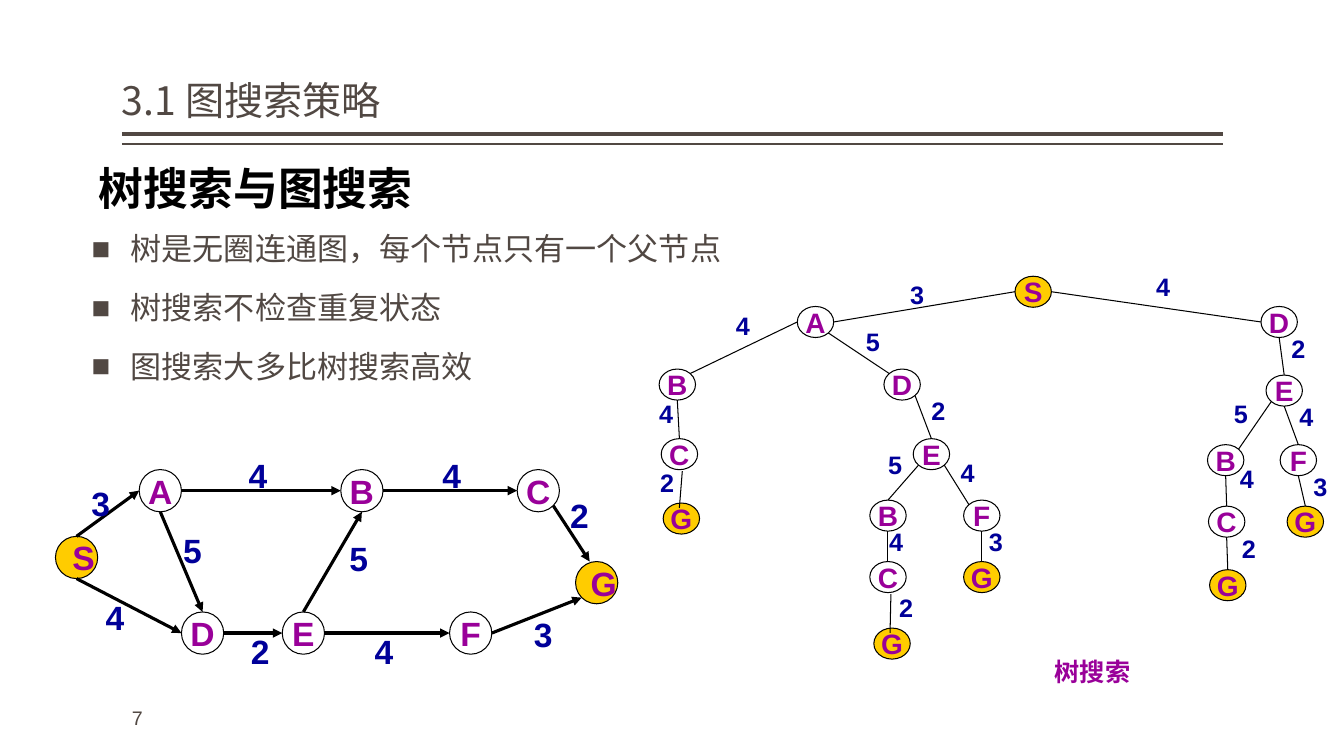
"""Build a slide that sets a weighted graph beside its search tree."""
import pptx
import pptx.dml.color
import pptx.enum.shapes
import pptx.enum.text
import pptx.oxml
import pptx.oxml.ns
import pptx.util

Pt = pptx.util.Pt
ANCHOR = pptx.enum.text.MSO_ANCHOR
ALIGN = pptx.enum.text.PP_ALIGN

COLORS = {"text": "514843", "black": "000000", "letter": "990099",
          "weight": "000099", "plain": "FFFFFF", "goal": "FFCC00"}
CJK = "Noto Sans CJK SC"
TITLE = "3.1 图搜索策略"
HEADING = "树搜索与图搜索"
POINTS = ["树是无圈连通图，每个节点只有一个父节点",
          "树搜索不检查重复状态",
          "图搜索大多比树搜索高效"]
CAPTION = "树搜索"
PAGE_NUMBER = "7"
RULES = [(95.8, 3), (103, 1)]

DIAGONAL = 0.71
SITES = {"N": (0, -1), "S": (0, 1), "W": (-1, 0), "E": (1, 0),
         "NW": (-DIAGONAL, -DIAGONAL), "NE": (DIAGONAL, -DIAGONAL),
         "SW": (-DIAGONAL, DIAGONAL), "SE": (DIAGONAL, DIAGONAL),
         "NNW": (-0.33, -1), "inside": (-0.11, -0.68), "below": (0.16, 1.1)}

GRAPH_STYLE = {"size": (30.2, 30.2), "letter": 24, "weight": 24,
               "line": 2.25, "arrow": True}
UPPER, LOWER = 350.5, 452.2
GRAPH_NODES = {"A": (114.5, UPPER), "B": (258.5, UPPER), "C": (384.5, UPPER),
               "D": (144.7, LOWER), "E": (216.7, LOWER), "F": (336.2, LOWER),
               "G": (426.2, 416.2), "S": (54.7, 398.2)}
LETTER_SHIFT = {"S": 5, "G": 5}
GRAPH_EDGES = [
    ("S", "N", "A", "W", "3", 72, 359.3),
    ("S", "S", "D", "W", "4", 82.1, 440.6),
    ("A", "E", "B", "W", "4", 184.3, 339.1),
    ("D", "E", "E", "W", "2", 185.8, 465.1),
    ("B", "E", "C", "W", "4", 322.6, 339.1),
    ("E", "E", "F", "W", "4", 274.3, 465.1),
    ("F", "E", "G", "SW", "3", 388.1, 452.9),
    ("A", "S", "D", "N", "5", 137.5, 393.1),
    ("E", "N", "B", "S", "5", 256.3, 398.9),
    ("C", "SE", "G", "NNW", "2", 414, 367.9),
]

TREE_STYLE = {"size": (26, 22.2), "letter": 20, "weight": 18,
              "line": 0.75, "arrow": False}
TREE_ROOT = ("S", (738, 208.4))
TREE_BRANCHES = [
    ("SA", (582.5, 230), "W", "E", "3", 655.2, 210.6),
    ("SD", (913.7, 230), "E", "W", "4", 830.9, 204.8),
    ("SAB", (483.8, 274.7), "W", "NE", "4", 530.6, 232.2),
    ("SAD", (644.4, 274.7), "SE", "NW", "5", 623.5, 243.7),
    ("SDE", (917.3, 279), "S", "N", "2", 927.4, 248.8),
    ("SABC", (485.3, 324.4), "S", "N", "4", 475.9, 295.6),
    ("SADE", (665.3, 324.4), "SE", "N", "2", 670.3, 293.4),
    ("SDEB", (875.5, 328.7), "SW", "NE", "5", 886.3, 295.6),
    ("SDEF", (927.4, 328.7), "S", "N", "4", 933.1, 297.7),
    ("SABCG", (486.7, 370.4), "below", "inside", "2", 476.6, 344.5),
    ("SADEB", (634.3, 368.3), "SW", "N", "5", 639.4, 331.6),
    ("SADEF", (701.3, 368.3), "SE", "NW", "4", 691.2, 337.3),
    ("SDEBC", (876.2, 372.6), "S", "N", "4", 890.6, 341.6),
    ("SDEFG", (932.4, 372.6), "S", "N", "3", 943.2, 347.4),
    ("SADEBC", (634.3, 412.2), "S", "N", "4", 640.1, 387),
    ("SADEFG", (701.3, 412.2), "S", "N", "3", 711.4, 387),
    ("SDEBCG", (877, 418), "S", "N", "2", 892.1, 392),
    ("SADEBCG", (637.2, 459.7), "below", "inside", "2", 647.3, 433.8),
]


def rgb(name):
    return pptx.dml.color.RGBColor.from_string(COLORS[name])


def add_element(parent, tag, attributes=""):
    namespace = pptx.oxml.ns.nsdecls("a")
    parent.append(pptx.oxml.parse_xml(f"<a:{tag} {namespace} {attributes}/>"))


def style(para, size, color, font="Arial", bold=False):
    para.font.size = Pt(size)
    para.font.bold = bold
    para.font.name = font
    para.font.color.rgb = rgb(color)
    defaults = para._p.pPr.find(pptx.oxml.ns.qn("a:defRPr"))
    add_element(defaults, "ea", f'typeface="{CJK}"')


def add_box(page, frame, lines, insets=(7.2, 3.6), anchor=ANCHOR.TOP):
    box = page.shapes.add_textbox(*map(Pt, frame))
    text = box.text_frame
    text.word_wrap = True
    text.vertical_anchor = anchor
    text.margin_left = text.margin_right = Pt(insets[0])
    text.margin_top = text.margin_bottom = Pt(insets[1])
    text.text = "\n".join(lines)
    return text.paragraphs


def add_mark(page, x, y, mark, size, color):
    width, height = size * 1.2, size * 1.5
    frame = (x - width / 2, y - height / 2, width, height)
    para = add_box(page, frame, [mark], (0, 0), ANCHOR.MIDDLE)[0]
    para.alignment = ALIGN.CENTER
    style(para, size, color, bold=True)


def add_line(page, start, end, width, color="black", arrow=False):
    line = page.shapes.add_connector(
        pptx.enum.shapes.MSO_CONNECTOR.STRAIGHT, *map(Pt, (*start, *end)))
    line.line.width = Pt(width)
    line.line.color.rgb = rgb(color)
    if arrow:
        add_element(line.line._get_or_add_ln(), "tailEnd", 'type="triangle"')
    add_element(line._element.spPr, "effectLst")


def add_node(page, name, center, look, shift):
    width, height = look["size"]
    x, y = center
    node = page.shapes.add_shape(
        pptx.enum.shapes.MSO_SHAPE.OVAL,
        *map(Pt, (x - width / 2, y - height / 2, width, height)))
    node.shadow.inherit = False
    node.fill.solid()
    node.fill.fore_color.rgb = rgb("goal" if name[-1] in "SG" and
                                   name not in ("SA", "SD") else "plain")
    node.line.color.rgb = rgb("black")
    node.line.width = Pt(0.75)
    if shift:
        add_mark(page, x + shift, y, name[-1], look["letter"], "letter")
        return
    text = node.text_frame
    text.word_wrap = False
    text.vertical_anchor = ANCHOR.MIDDLE
    text.text = name[-1]
    para = text.paragraphs[0]
    para.alignment = ALIGN.CENTER
    style(para, look["letter"], "letter", bold=True)


def add_network(page, nodes, edges, look, shifts):
    def site(name, side):
        return [middle + part * length / 2 for middle, part, length
                in zip(nodes[name], SITES[side], look["size"])]

    for name, center in nodes.items():
        add_node(page, name, center, look, shifts.get(name, 0))
    for start, leave, end, enter, weight, x, y in edges:
        add_line(page, site(start, leave), site(end, enter), look["line"],
                 arrow=look["arrow"])
        add_mark(page, x, y, weight, look["weight"], "weight")


def main():
    deck = pptx.Presentation()
    deck.slide_width, deck.slide_height = Pt(960), Pt(540)
    page = deck.slides.add_slide(deck.slide_layouts[6])

    for y, width in RULES:
        add_line(page, (87.1, y), (873.4, y), width, "text")
    number = add_box(page, (87.1, 500.4, 144, 28.8), [PAGE_NUMBER])[0]
    style(number, 14, "text")
    title = add_box(page, (87.1, 5.8, 786.2, 86.4), [TITLE], (0, 3.6), ANCHOR.BOTTOM)[0]
    title.line_spacing = 0.9
    style(title, 28, "text", CJK)
    heading = add_box(page, (70.6, 103.7, 648, 61.2), [HEADING], (0, 3.6), ANCHOR.MIDDLE)[0]
    style(heading, 32, "black", "Calibri", True)

    for index, para in enumerate(add_box(page, (58.3, 163.4, 473.8, 130.3), POINTS)):
        para.line_spacing = 0.9
        para.space_before = Pt(18 if index else 0)
        properties = para._p.get_or_add_pPr()
        properties.set("marL", str(Pt(28)))
        properties.set("indent", str(-Pt(28)))
        add_element(properties, "buFont", 'typeface="Arial"')
        add_element(properties, "buChar", 'char="■"')
        style(para, 22.2, "text", CJK)

    add_network(page, GRAPH_NODES, GRAPH_EDGES, GRAPH_STYLE, LETTER_SHIFT)
    tree_nodes = dict([TREE_ROOT] + [branch[:2] for branch in TREE_BRANCHES])
    tree_edges = [(route[:-1], leave, route, enter, *label)
                  for route, _, leave, enter, *label in TREE_BRANCHES]
    add_network(page, tree_nodes, tree_edges, TREE_STYLE, {})

    caption = add_box(page, (714.2, 465.1, 132.5, 28.8), [CAPTION])[0]
    caption.alignment = ALIGN.CENTER
    style(caption, 18, "letter", bold=True)
    deck.save("out.pptx")


if __name__ == "__main__":
    main()
